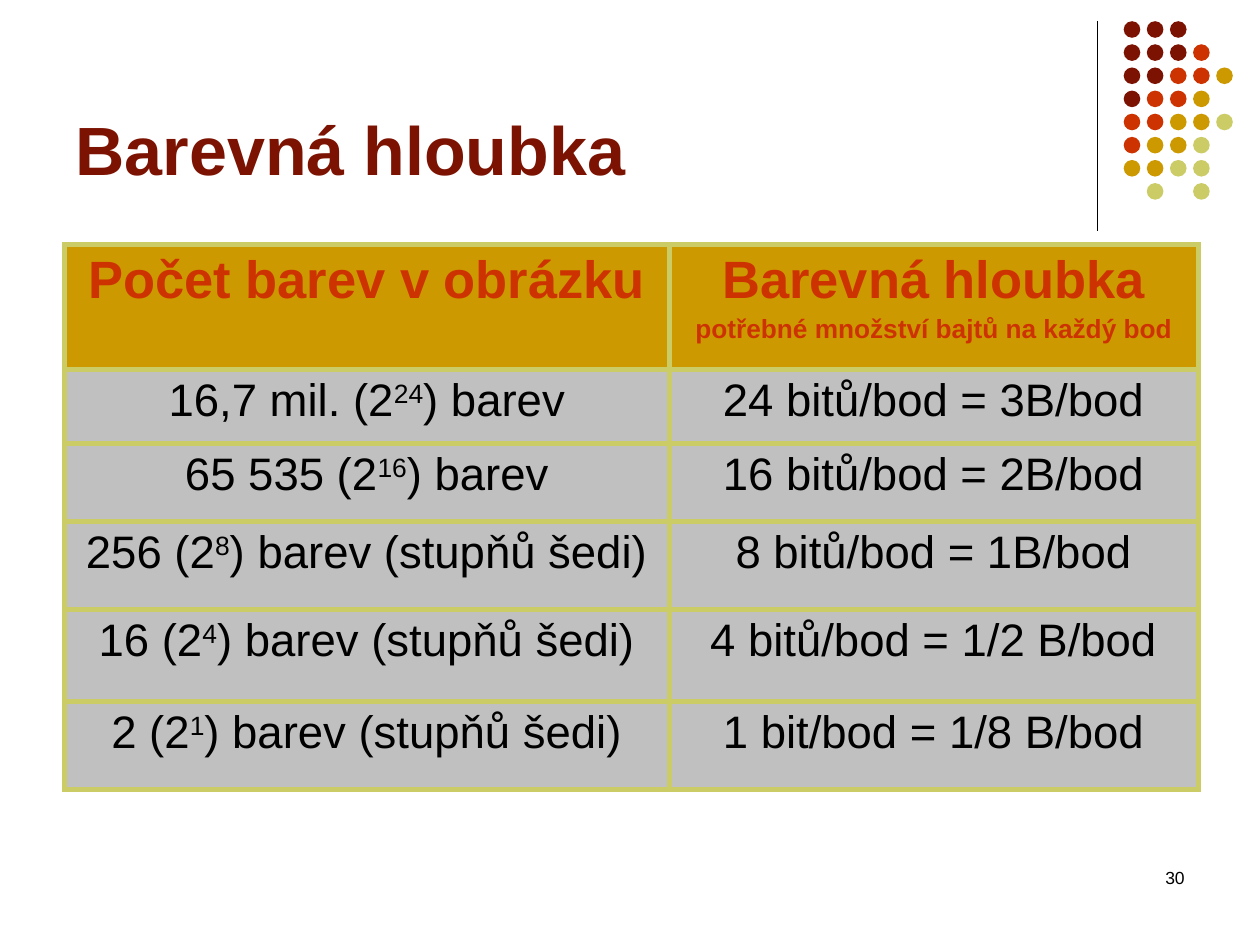
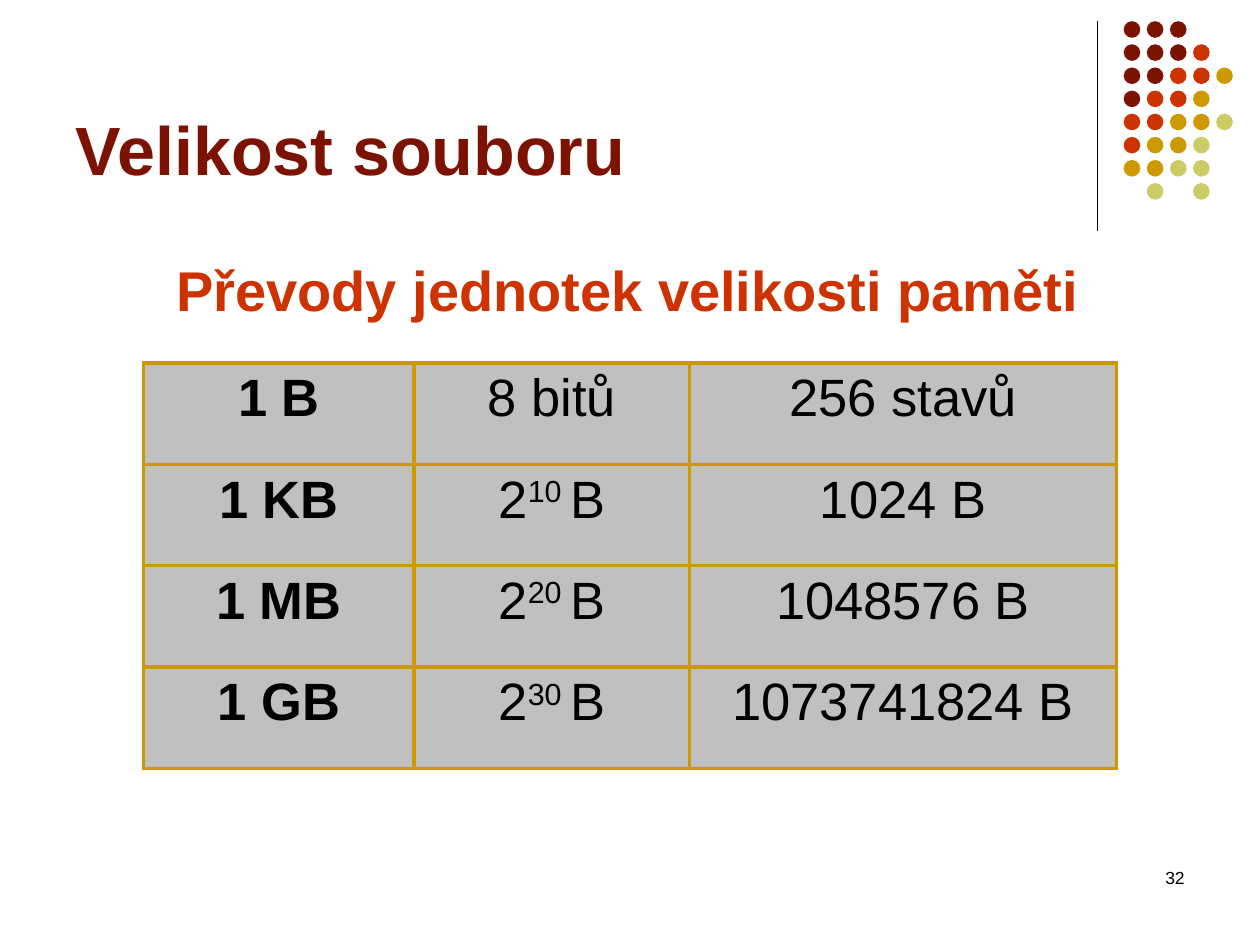
from dataclasses import dataclass
from typing import Any

import pptx
import pptx.dml.color
import pptx.enum.shapes
import pptx.enum.text
import pptx.oxml
import pptx.oxml.ns
import pptx.util

Pt = pptx.util.Pt
Color = pptx.dml.color.RGBColor
Align = pptx.enum.text.PP_ALIGN
Anchor = pptx.enum.text.MSO_ANCHOR

# Shared look
MAROON = Color(0x7C, 0x13, 0x02)
RED = Color(0xCC, 0x33, 0x00)
GOLD = Color(0xCC, 0x99, 0x00)
OLIVE = Color(0xCC, 0xCC, 0x66)
GRAY = Color(0xC0, 0xC0, 0xC0)
BLACK = Color(0, 0, 0)
FONT = "Arial"
TITLE_ONLY = 5

# Dot pattern: one letter a dot, one string a row
DOT_COLORS = {"M": MAROON, "R": RED, "G": GOLD, "O": OLIVE}
DOT_ROWS = ("MMM", "MMMR", "MMRRG", "MRRG", "RRGGO", "RGGO", "GGOO", ".O.O")
DOT_LEFT, DOT_TOP, DOT_STEP, DOT_SIZE = 642.1, 12.1, 13.22, 9.5


@dataclass(frozen=True)
class TextStyle:
    size: float
    color: Color = BLACK
    bold: bool = False


@dataclass(frozen=True)
class Line:
    """One paragraph; text between carets is raised."""
    text: str
    style: TextStyle


@dataclass(frozen=True)
class Grid:
    left: float
    top: float
    widths: tuple[float, ...]
    heights: tuple[float, ...]
    border: Color
    border_width: float


TITLE = TextStyle(39, MAROON, True)
HEADING = TextStyle(32, RED, True)
NUMBER = TextStyle(10)
HEADER = TextStyle(30, RED, True)
HEADER_NOTE = TextStyle(15, RED, True)
DEPTH = TextStyle(26)
UNIT = TextStyle(30, bold=True)
SIZE = TextStyle(30)

DEPTH_GRID = Grid(36.8, 139.7, (345.6, 302.4), (71.4, 42.3, 44.6, 50.3, 52.6, 50.3), OLIVE, 3)
DEPTH_HEADER = [
    [Line("Počet barev v obrázku", HEADER)],
    [Line("Barevná hloubka", HEADER), Line("potřebné množství bajtů na každý bod", HEADER_NOTE)],
]
DEPTH_ROWS = (
    ("16,7 mil. (2^24^) barev", "24 bitů/bod = 3B/bod"),
    ("65 535 (2^16^) barev", "16 bitů/bod = 2B/bod"),
    ("256 (2^8^) barev (stupňů šedi)", "8 bitů/bod = 1B/bod"),
    ("16 (2^4^) barev (stupňů šedi)", "4 bitů/bod = 1/2 B/bod"),
    ("2 (2^1^) barev (stupňů šedi)", "1 bit/bod = 1/8 B/bod"),
)

UNIT_GRID = Grid(82.1, 207.5, (154.5, 157.5, 243.9), (57.9,) * 4, GOLD, 2.25)
UNIT_ROWS = (
    ("1 B", "8 bitů", "256 stavů"),
    ("1 KB", "2^10 ^B", "1024 B"),
    ("1 MB", "2^20 ^B", "1048576 B"),
    ("1 GB", "2^30 ^B", "1073741824 B"),
)


def write(para: Any, line: Line, align: Align = Align.LEFT) -> None:
    para.alignment = align
    for index, part in enumerate(line.text.split("^")):
        span = para.add_run()
        span.text = part
        span.font.name = FONT
        span.font.size = Pt(line.style.size)
        span.font.bold = line.style.bold
        span.font.color.rgb = line.style.color
        if index % 2:
            span._r.get_or_add_rPr().set("baseline", "30000")


def add_label(page: Any, left: float, top: float, width: float, height: float,
              line: Line, align: Align = Align.LEFT) -> None:
    box = page.shapes.add_textbox(Pt(left), Pt(top), Pt(width), Pt(height))
    box.text_frame.word_wrap = True
    write(box.text_frame.paragraphs[0], line, align)


def add_dots(page: Any) -> None:
    group = page.shapes.add_group_shape()
    for row, letters in enumerate(DOT_ROWS):
        for column, letter in enumerate(letters):
            if letter not in DOT_COLORS:
                continue
            dot = group.shapes.add_shape(
                pptx.enum.shapes.MSO_SHAPE.OVAL,
                Pt(DOT_LEFT + column * DOT_STEP), Pt(DOT_TOP + row * DOT_STEP),
                Pt(DOT_SIZE), Pt(DOT_SIZE))
            dot.shadow.inherit = False
            dot.fill.solid()
            dot.fill.fore_color.rgb = DOT_COLORS[letter]
            dot.line.fill.background()


def add_page(deck: Any, title: str, number: int) -> Any:
    page = deck.slides.add_slide(deck.slide_layouts[TITLE_ONLY])

    # Rule and dots in the corner
    rule = page.shapes.add_connector(
        pptx.enum.shapes.MSO_CONNECTOR.STRAIGHT, Pt(627), Pt(12), Pt(627), Pt(132))
    rule.line.color.rgb = BLACK
    rule.line.width = Pt(0.75)
    rule._element.spPr.append(pptx.oxml.parse_xml(
        f"<a:effectLst {pptx.oxml.ns.nsdecls('a')}/>"))
    add_dots(page)

    # Title and page number
    box = page.shapes.title
    box.left, box.top, box.width, box.height = Pt(36), Pt(9.4), Pt(594), Pt(102.2)
    box.text_frame.vertical_anchor = Anchor.BOTTOM
    write(box.text_frame.paragraphs[0], Line(title, TITLE))
    add_label(page, 516, 492, 168, 36, Line(str(number), NUMBER), Align.RIGHT)
    return page


def set_borders(cell: Any, color: Color, width: float) -> None:
    properties = cell._tc.get_or_add_tcPr()
    for side in ("lnL", "lnR", "lnT", "lnB"):
        properties.append(pptx.oxml.parse_xml(
            f'<a:{side} {pptx.oxml.ns.nsdecls("a")} w="{Pt(width)}">'
            f'<a:solidFill><a:srgbClr val="{color}"/></a:solidFill></a:{side}>'))


def add_grid(page: Any, grid: Grid, rows: list[list[list[Line]]],
             fills: list[Color]) -> None:
    table = page.shapes.add_table(
        len(grid.heights), len(grid.widths), Pt(grid.left), Pt(grid.top),
        Pt(sum(grid.widths)), Pt(sum(grid.heights))).table
    table.first_row = table.horz_banding = False
    for column, width in zip(table.columns, grid.widths):
        column.width = Pt(width)
    for row, height, contents, fill in zip(table.rows, grid.heights, rows, fills):
        row.height = Pt(height)
        for cell, lines in zip(row.cells, contents):
            set_borders(cell, grid.border, grid.border_width)
            cell.fill.solid()
            cell.fill.fore_color.rgb = fill
            for index, line in enumerate(lines):
                frame = cell.text_frame
                para = frame.add_paragraph() if index else frame.paragraphs[0]
                if index:
                    para.space_before = Pt(line.style.size * 0.2)
                write(para, line, Align.CENTER)


def main() -> None:
    deck = pptx.Presentation()
    deck.slide_width, deck.slide_height = Pt(720), Pt(540)

    # Colour depth
    page = add_page(deck, "Barevná hloubka", 30)
    depths = [[[Line(text, DEPTH)] for text in row] for row in DEPTH_ROWS]
    add_grid(page, DEPTH_GRID, [DEPTH_HEADER] + depths, [GOLD] + [GRAY] * len(depths))

    # File size
    page = add_page(deck, "Velikost souboru", 32)
    units = [[[Line(unit, UNIT)]] + [[Line(text, SIZE)] for text in sizes]
             for unit, *sizes in UNIT_ROWS]
    add_grid(page, UNIT_GRID, units, [GRAY] * len(units))
    add_label(page, 93.6, 142.5, 532.8, 45.4,
              Line("Převody jednotek velikosti paměti", HEADING))

    deck.save("out.pptx")


if __name__ == "__main__":
    main()
